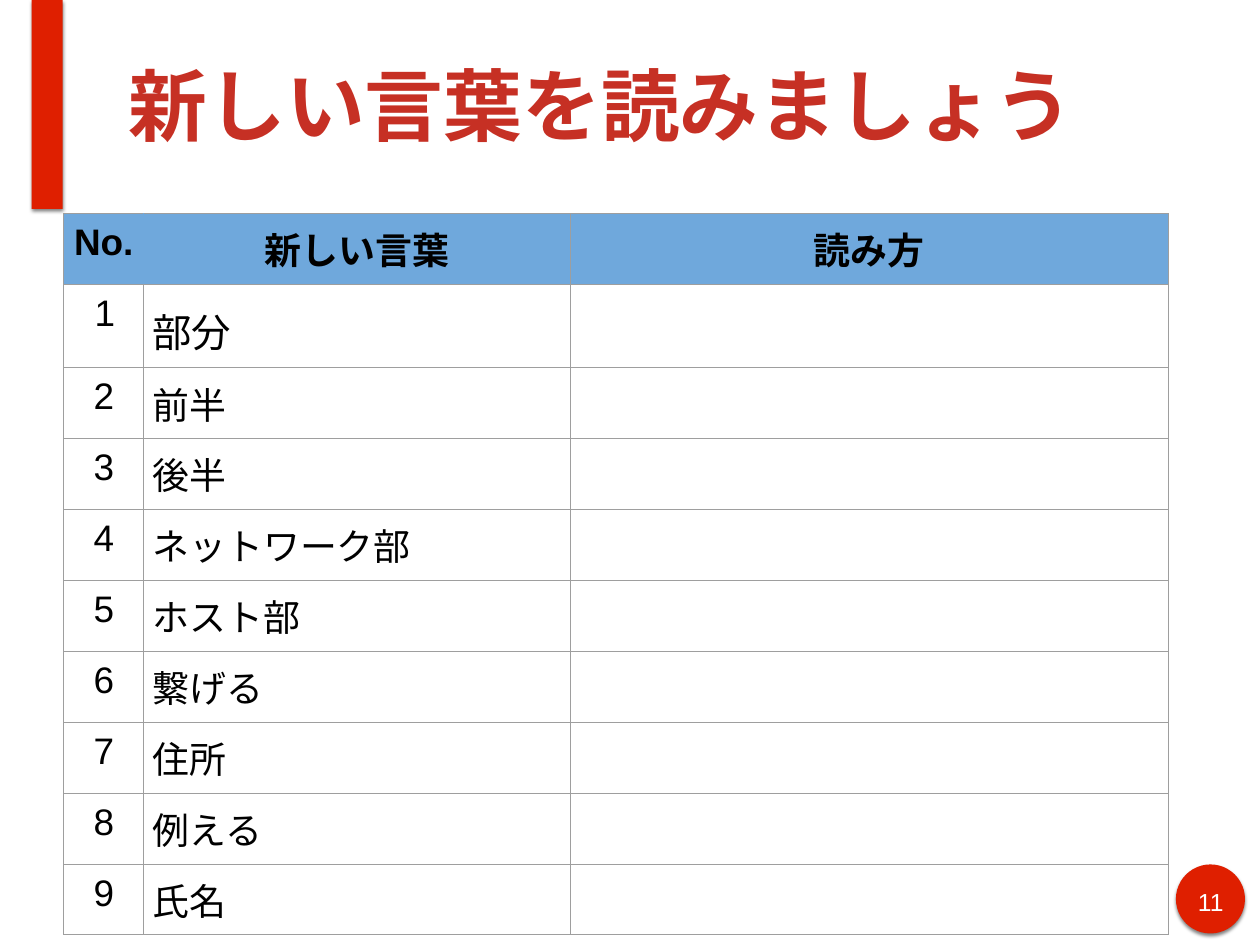
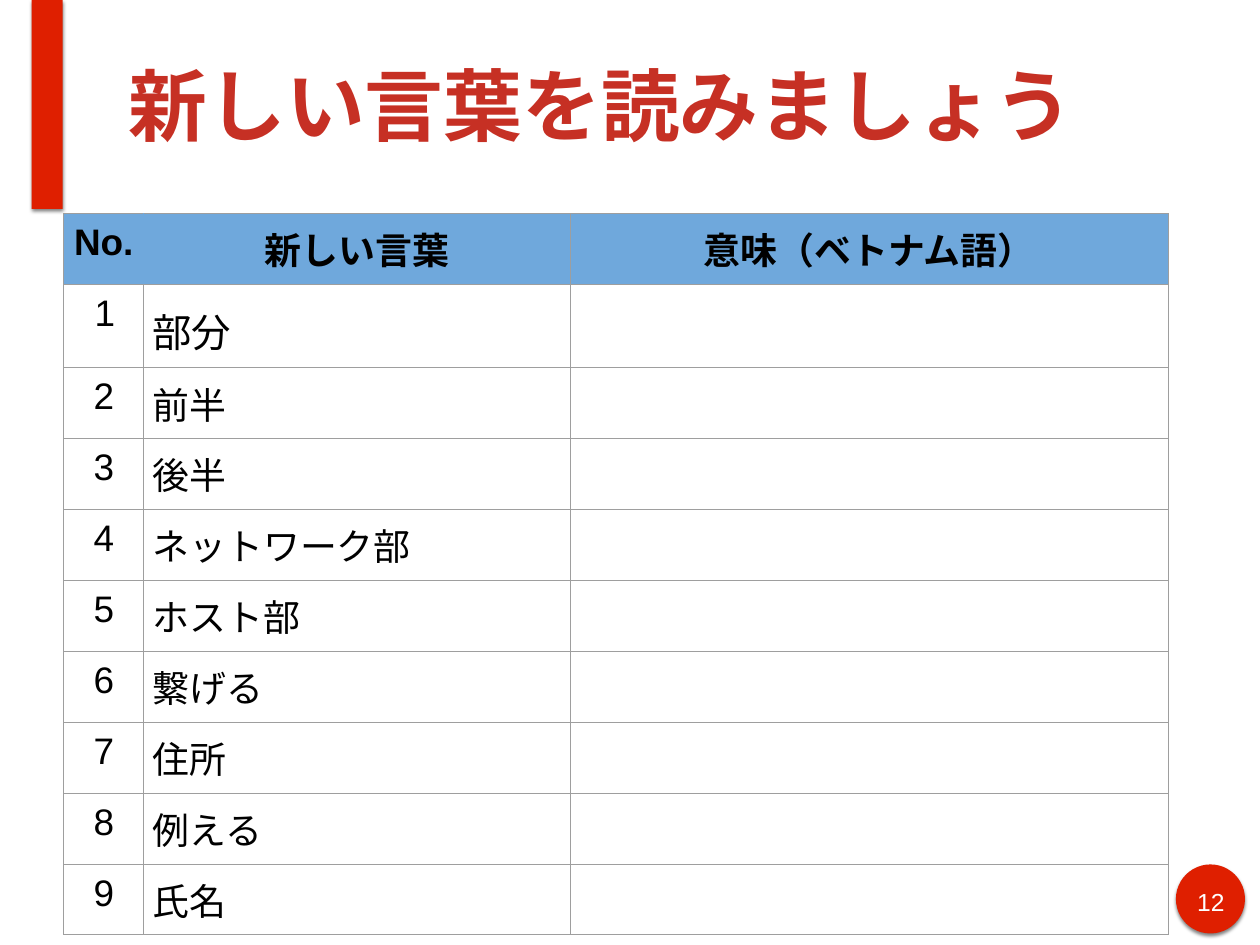
import dataclasses

import lxml.etree
import pptx
import pptx.dml.color
import pptx.enum.lang
import pptx.enum.shapes
import pptx.enum.text
import pptx.oxml
import pptx.oxml.ns
import pptx.util

Cm = pptx.util.Cm
Pt = pptx.util.Pt
RGB = pptx.dml.color.RGBColor.from_string
ALIGN = pptx.enum.text.PP_ALIGN
ANCHOR = pptx.enum.text.MSO_ANCHOR
SHAPE = pptx.enum.shapes.MSO_SHAPE


@dataclasses.dataclass(frozen=True)
class Theme:
    font: str = "Arial"
    accent: str = "DF1F00"
    title: str = "C63024"
    header: str = "6FA8DC"
    grid: str = "9E9E9E"
    ink: str = "000000"
    paper: str = "FFFFFF"
    title_size: int = 64
    first_word_size: int = 32
    table_size: int = 30
    page_size: int = 20


theme = Theme()

# Content
TITLE = "新しい言葉を読みましょう"
WORDS = ["部分", "前半", "後半", "ネットワーク部", "ホスト部",
         "繋げる", "住所", "例える", "氏名"]
ANSWER_HEADINGS = ["読み方", "意味（ベトナム語）"]
FIRST_PAGE = 11

# Layout
COLUMN_WIDTHS = [2.29, 12.22, 17.15]
ROW_HEIGHT = 1.93
CELL_MARGIN = Cm(0.25)
TEXT_MARGIN = Cm(0.16)
MARGINS = ("margin_left", "margin_right", "margin_top", "margin_bottom")
ACCENTS = [
    (SHAPE.OVAL, (33.71, 24.79, 1.98, 1.98)),
    (SHAPE.RECTANGLE, (0.91, 0, 0.89, 5.99)),
]
SHADOW = (
    f'<a:effectLst {pptx.oxml.ns.nsdecls("a")}>'
    f'<a:outerShdw blurRad="{Pt(3)}" dist="{Pt(2)}" dir="5400000" rotWithShape="0">'
    f'<a:srgbClr val="{theme.ink}"><a:alpha val="50000"/></a:srgbClr>'
    '</a:outerShdw></a:effectLst>'
)


def write(frame, text, size, color, bold=False, **paragraph_format):
    paragraph = frame.paragraphs[0]
    for name, value in paragraph_format.items():
        setattr(paragraph, name, value)
    run = paragraph.add_run()
    run.text = text
    font_format = {
        "name": theme.font, "size": Pt(size), "bold": bold,
        "language_id": pptx.enum.lang.MSO_LANGUAGE_ID.JAPANESE,
    }
    for name, value in font_format.items():
        setattr(run.font, name, value)
    run.font.color.rgb = RGB(color)
    return paragraph


def style_cell(cell, fill, edges):
    for name in MARGINS:
        setattr(cell, name, CELL_MARGIN)
    properties = cell._tc.get_or_add_tcPr()
    for side in "LRTB":
        properties.append(pptx.oxml.parse_xml(
            f'<a:ln{side} {pptx.oxml.ns.nsdecls("a")} w="{Pt(0.75)}"><a:solidFill>'
            f'<a:srgbClr val="{edges.get(side, theme.grid)}"/>'
            f'</a:solidFill></a:ln{side}>'))
    cell.fill.solid()
    cell.fill.fore_color.rgb = RGB(fill)


deck = pptx.Presentation()
deck.slide_width, deck.slide_height = Cm(36.12), Cm(27.1)

for page, answer_heading in enumerate(ANSWER_HEADINGS, FIRST_PAGE):
    slide = deck.slides.add_slide(deck.slide_layouts[5])

    # Red disc and bar
    for kind, box in ACCENTS:
        accent = slide.shapes.add_shape(kind, *map(Cm, box))
        accent.fill.solid()
        accent.fill.fore_color.rgb = RGB(theme.accent)
        accent.line.fill.background()
        accent._element.spPr.append(pptx.oxml.parse_xml(SHADOW))

    # Page number and title
    page_number = slide.shapes.add_textbox(Cm(34.09), Cm(25.27), Cm(1.24), Cm(0.99))
    title = slide.shapes.title
    title_box = {"left": 3.53, "top": 0.3, "width": 30.84, "height": 5.38}
    for name, value in title_box.items():
        setattr(title, name, Cm(value))
    for frame, anchor in ((page_number.text_frame, ANCHOR.TOP),
                          (title.text_frame, ANCHOR.MIDDLE)):
        frame_format = {
            "word_wrap": True, "vertical_anchor": anchor,
            "auto_size": pptx.enum.text.MSO_AUTO_SIZE.NONE,
            **dict.fromkeys(MARGINS, TEXT_MARGIN),
        }
        for name, value in frame_format.items():
            setattr(frame, name, value)
    write(page_number.text_frame, str(page), theme.page_size, theme.paper,
          alignment=ALIGN.CENTER)
    write(title.text_frame, TITLE, theme.title_size, theme.title, bold=True,
          alignment=ALIGN.LEFT)

    # Vocabulary table
    row_count = len(WORDS) + 1
    vocabulary = slide.shapes.add_table(
        row_count, len(COLUMN_WIDTHS), Cm(1.83), Cm(6.12),
        Cm(sum(COLUMN_WIDTHS)), Cm(ROW_HEIGHT * row_count)).table
    vocabulary.first_row = vocabulary.horz_banding = False
    for column, width in zip(vocabulary.columns, COLUMN_WIDTHS):
        column.width = Cm(width)
    for row in vocabulary.rows:
        row.height = Cm(ROW_HEIGHT)

    # Header row, with no visible rule between its first two cells
    header_edges = [{"R": theme.header}, {"L": theme.header}, {}]
    for index, heading in enumerate(["No.", "新しい言葉", answer_heading]):
        cell = vocabulary.cell(0, index)
        style_cell(cell, theme.header, header_edges[index])
        write(cell.text_frame, heading, theme.table_size, theme.ink, bold=True,
              alignment=ALIGN.CENTER)

    # Word rows; the first has its own indent and spacing
    for number, word in enumerate(WORDS, 1):
        number_cell, word_cell, answer_cell = vocabulary.rows[number].cells
        for cell in (number_cell, word_cell, answer_cell):
            style_cell(cell, theme.paper, {})
        first = number == 1
        number_line = write(number_cell.text_frame, str(number), theme.table_size,
                            theme.ink, alignment=ALIGN.LEFT if first else ALIGN.CENTER)
        if first:
            indents = number_line._p.get_or_add_pPr()
            indents.set("marL", str(Cm(1.27)))
            indents.set("indent", str(-Cm(0.64)))
        spacing = {"line_spacing": 1.15, "space_after": Pt(25)} if first else {}
        write(word_cell.text_frame, word,
              theme.first_word_size if first else theme.table_size,
              theme.ink, **spacing)

deck.save("out.pptx")
